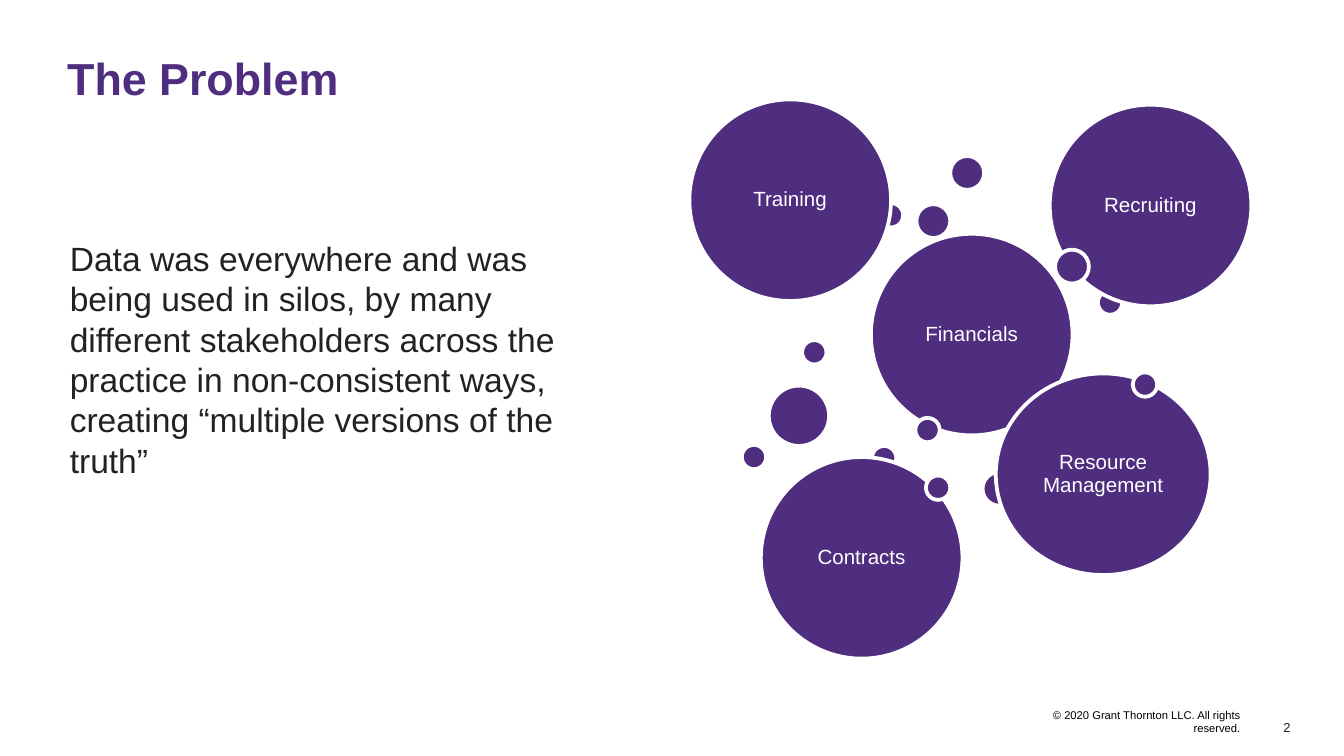
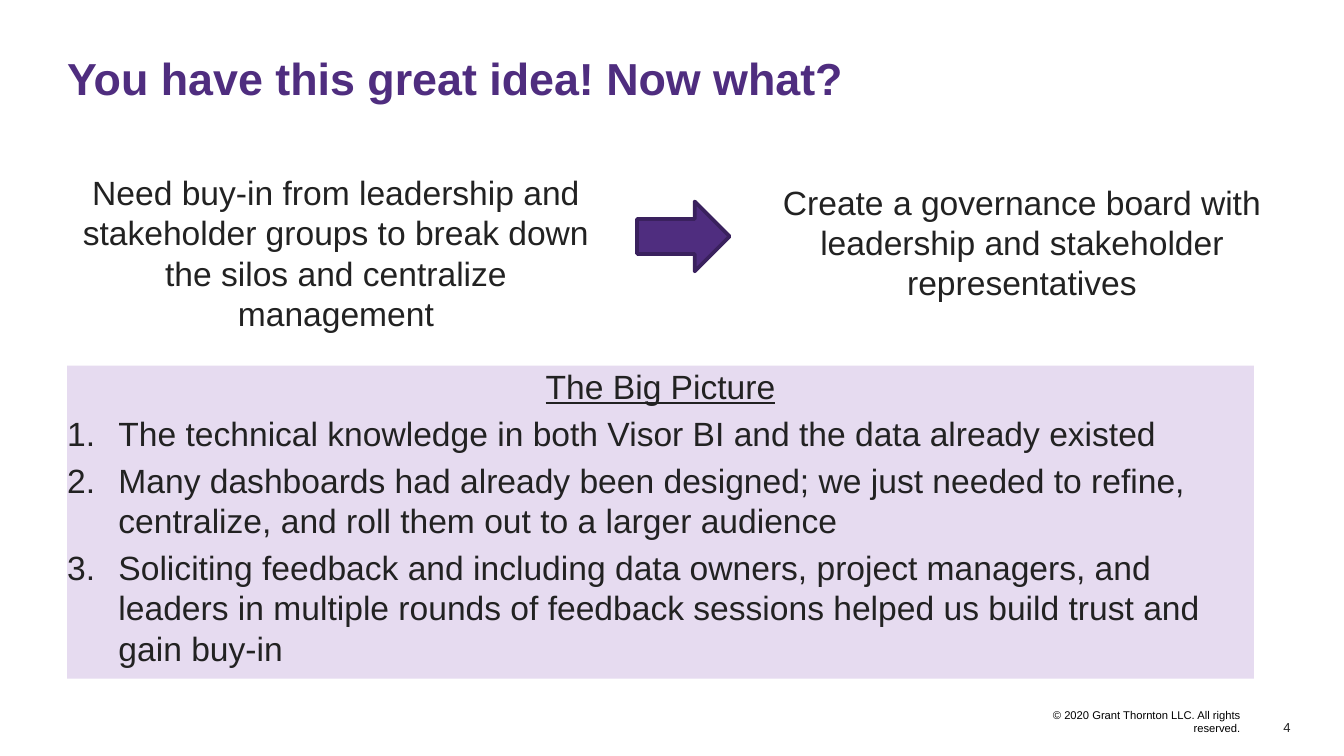
import pptx
import pptx.util
import pptx.dml.color
import pptx.enum.shapes
import pptx.enum.text
import pptx.oxml.ns
from lxml import etree

Cm = pptx.util.Cm
Pt = pptx.util.Pt
SHAPE = pptx.enum.shapes.MSO_SHAPE
ALIGN = pptx.enum.text.PP_ALIGN
ANCHOR = pptx.enum.text.MSO_ANCHOR

HUES = {
    "brand": "4F2D7F",
    "edge": "3A215E",
    "panel": "E6DBF0",
    "ink": "222222",
    "black": "000000",
    "white": "FFFFFF",
}
FONT = "Arial"
BODY = 18
GAP = 3.6
INDENT = 0.97

BIG, LARGE, MID, SMALL = 3.81, 1.14, 0.64, 0.46

# Left, top, width, height and label of each bubble, from back to front
BUBBLES = [
    (3.43, 2.54, BIG, BIG, "Financials"),
    (4.93, 1.07, MID, MID, ""),
    (3.45, 6.55, SMALL, SMALL, ""),
    (7.72, 3.61, SMALL, SMALL, ""),
    (5.54, 7.04, MID, MID, ""),
    (3.58, 1.96, SMALL, SMALL, ""),
    (2.13, 4.55, SMALL, SMALL, ""),
    (0, 0, BIG, BIG, "Training"),
    (4.29, 1.98, MID, MID, ""),
    (1.5, 5.41, LARGE, LARGE, ""),
    (6.81, 0.1, BIG, BIG, "Recruiting"),
    (6.91, 2.84, MID, MID, ""),
    (0.99, 6.53, SMALL, SMALL, ""),
    (4.27, 6.02, SMALL, SMALL, ""),
    (5.79, 5.18, 4.06, BIG, "Resource Management"),
    (8.38, 5.16, SMALL, SMALL, ""),
    (1.35, 6.76, BIG, BIG, "Contracts"),
    (4.47, 7.11, SMALL, SMALL, ""),
]

STEPS = [
    "The technical knowledge in both Visor BI and the data already existed",
    "Many dashboards had already been designed; we just needed to refine, "
    "centralize, and roll them out to a larger audience",
    "Soliciting feedback and including data owners, project managers, and "
    "leaders in multiple rounds of feedback sessions helped us build trust "
    "and gain buy-in",
]


def tint(name):
    return pptx.dml.color.RGBColor.from_string(HUES[name])


def place(box):
    return [Cm(size) for size in box]


def set_frame(frame, inset=0, anchor=ANCHOR.TOP):
    frame.word_wrap = True
    frame.auto_size = pptx.enum.text.MSO_AUTO_SIZE.NONE
    frame.vertical_anchor = anchor
    frame.margin_left = frame.margin_right = Cm(inset)
    frame.margin_top = frame.margin_bottom = Cm(inset)


def write(frame, text, size=BODY, hue="ink", bold=False, under=False,
          align=ALIGN.LEFT, lines=None, before=0, number=False):
    """Fill the empty first paragraph of a frame, or add one after the last."""
    para = frame.paragraphs[0]
    if para.text:
        para = frame.add_paragraph()
    if number:
        props = para._p.get_or_add_pPr()
        props.set("marL", str(Cm(INDENT)))
        props.set("indent", str(-Cm(INDENT)))
        mark = etree.SubElement(props, pptx.oxml.ns.qn("a:buAutoNum"))
        mark.set("type", "arabicPeriod")
    para.alignment = align
    para.space_before = Pt(before)
    if lines:
        para.line_spacing = lines
    run = para.add_run()
    run.text = text
    font = run.font
    font.name, font.size = FONT, Pt(size)
    font.bold, font.underline = bold, under
    font.color.rgb = tint(hue)


def add_text(slide, box, text, inset=0, anchor=ANCHOR.TOP, **style):
    frame = slide.shapes.add_textbox(*place(box)).text_frame
    set_frame(frame, inset, anchor)
    write(frame, text, **style)


def add_form(slide, kind, box, fill, line=None):
    form = slide.shapes.add_shape(kind, *place(box))
    form.shadow.inherit = False
    form.fill.solid()
    form.fill.fore_color.rgb = tint(fill)
    if line:
        form.line.color.rgb = tint(line)
        form.line.width = Pt(2)
    else:
        form.line.fill.background()
    return form


def add_page(deck, title, number):
    """Start a slide with its title, copyright line and page number."""
    slide = deck.slides.add_slide(deck.slide_layouts[5])
    head = slide.shapes.title
    head.left, head.top, head.width, head.height = place((1.27, 1.12, 22.86, 1.96))
    set_frame(head.text_frame)
    write(head.text_frame, title, size=24, hue="brand", bold=True, lines=0.85)
    add_text(slide, (19.05, 13.39, 4.39, 0.5),
             "© 2020 Grant Thornton LLC. All rights reserved.",
             anchor=ANCHOR.BOTTOM, size=6, hue="black", align=ALIGN.RIGHT)
    add_text(slide, (22.94, 13.46, 1.7, 0.56), str(number), inset=0.25,
             anchor=ANCHOR.BOTTOM, size=7, align=ALIGN.RIGHT)
    # The number sits close to the lower edge of its box
    slide.shapes[-1].text_frame.margin_bottom = Cm(0.13)
    return slide


def draw_bubbles(slide, box):
    left, top = box[:2]
    for x, y, wide, high, label in BUBBLES:
        ball = add_form(slide, SHAPE.OVAL, (left + x, top + y, wide, high),
                        "brand", "white")
        if label:
            set_frame(ball.text_frame, 0.13, ANCHOR.MIDDLE)
            write(ball.text_frame, label, size=11, hue="white",
                  align=ALIGN.CENTER, lines=0.9)


def draw_flow(slide, box):
    """Place two statements with an arrow between them."""
    left, top = box[:2]
    add_text(slide, (left, top, 10.16, 2.44),
             "Need buy-in from leadership and stakeholder groups to break "
             "down the silos and centralize management", align=ALIGN.CENTER)
    add_form(slide, SHAPE.RIGHT_ARROW, (left + 10.77, top + 0.56, 1.75, 1.32),
             "brand", "edge")
    add_text(slide, (left + 13.13, top + 0.18, 9.83, 2.59),
             "Create a governance board with leadership and stakeholder "
             "representatives", align=ALIGN.CENTER)


def draw_panel(slide, box):
    frame = add_form(slide, SHAPE.RECTANGLE, box, "panel").text_frame
    set_frame(frame)
    write(frame, "The Big Picture", under=True, align=ALIGN.CENTER)
    for step in STEPS:
        write(frame, step, before=GAP, number=True)


def build_issue(deck):
    slide = add_page(deck, "The Problem", 2)
    draw_bubbles(slide, (13.03, 1.88, 10.62, 10.57))
    add_text(slide, (1.32, 4.5, 9.91, 7.82),
             "Data was everywhere and was being used in silos, by many "
             "different stakeholders across the practice in non-consistent "
             "ways, creating “multiple versions of the truth”")


def build_plan(deck):
    slide = add_page(deck, "You have this great idea! Now what?", 4)
    draw_flow(slide, (1.27, 3.25, 22.96, 2.77))
    draw_panel(slide, (1.27, 6.91, 22.43, 5.92))


def main():
    deck = pptx.Presentation()
    deck.slide_width, deck.slide_height = Cm(25.4), Cm(14.29)
    build_issue(deck)
    build_plan(deck)
    deck.save("out.pptx")


if __name__ == "__main__":
    main()
